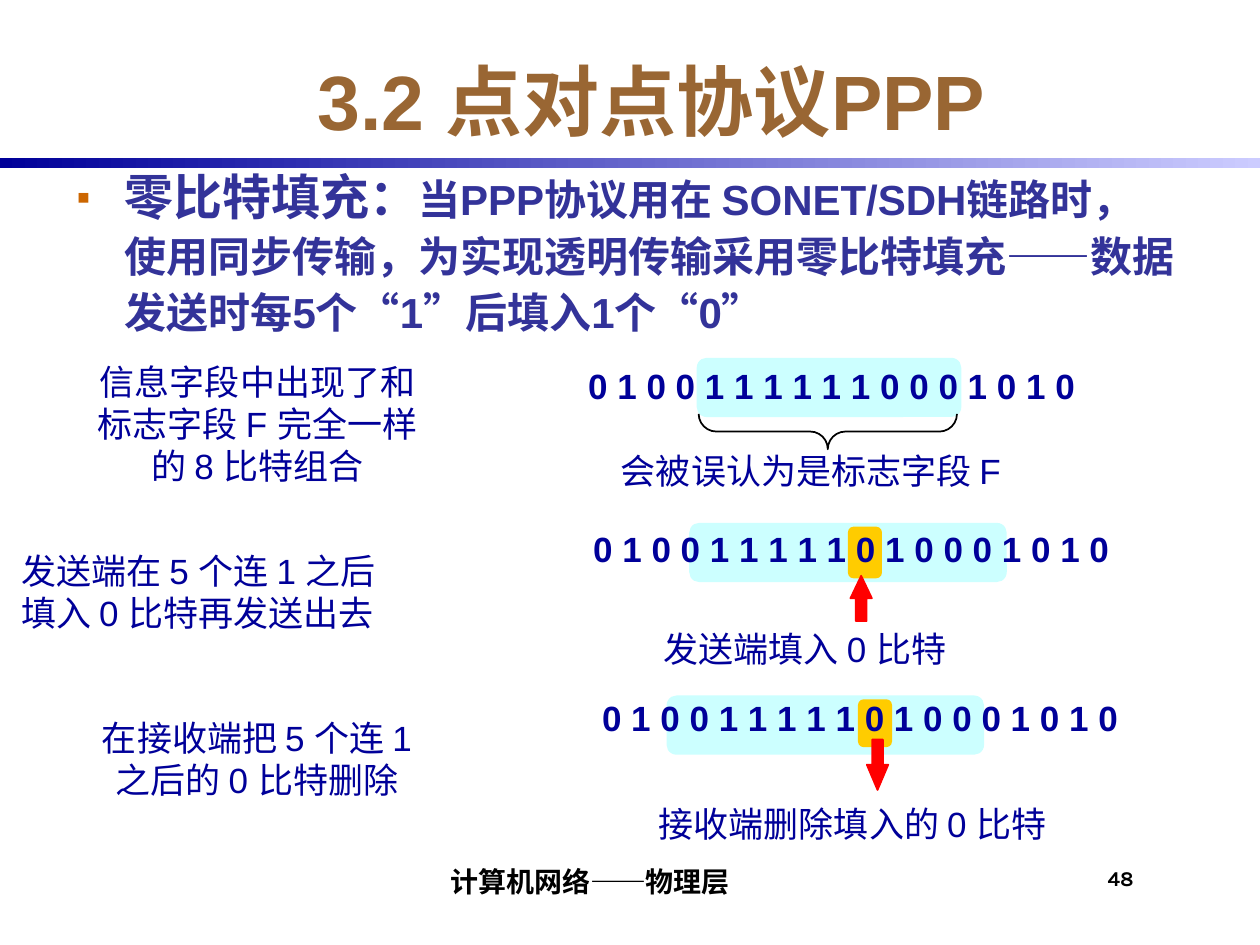
from typing import NamedTuple

from lxml.etree import SubElement
from pptx import Presentation
from pptx.dml.color import RGBColor
from pptx.enum.shapes import MSO_SHAPE
from pptx.enum.text import MSO_ANCHOR, PP_ALIGN
from pptx.oxml.ns import qn
from pptx.util import Inches, Pt

HUES = {
    "navy": "000099", "lilac": "CCCCFF", "brown": "996633", "indigo": "333399",
    "rust": "CC6600", "cyan": "CCFFFF", "gold": "FFCC00", "red": "FF0000",
    "black": "000000",
}
LEFT, MID = PP_ALIGN.LEFT, PP_ALIGN.CENTER
PAD = (0.1, 0.05, 0.1, 0.05)


class Box(NamedTuple):
    x: float
    y: float
    w: float
    h: float


class Style(NamedTuple):
    size: float
    hue: str
    bold: bool = False
    face: str = "Arial"


class Label(NamedTuple):
    box: Box
    lines: tuple
    style: Style
    align: PP_ALIGN = LEFT
    wrap: bool = False
    anchor: MSO_ANCHOR = MSO_ANCHOR.TOP
    pad: tuple = PAD


class Mark(NamedTuple):
    box: Box
    kind: MSO_SHAPE
    fill: str | None
    line: str | None = None
    adj: tuple = ()
    turn: float = 0


def color(name: str) -> RGBColor:
    return RGBColor.from_string(HUES[name])


def add_run(para, text: str, style: Style) -> None:
    run = para.add_run()
    run.text = text
    font = run.font
    font.size, font.bold, font.name = Pt(style.size), style.bold, style.face
    font.color.rgb = color(style.hue)


def add_label(slide, label: Label):
    """Add a text box with one paragraph per line and return its frame."""
    frame = slide.shapes.add_textbox(*map(Inches, label.box)).text_frame
    frame.word_wrap = label.wrap
    frame.vertical_anchor = label.anchor
    (frame.margin_left, frame.margin_top,
     frame.margin_right, frame.margin_bottom) = map(Inches, label.pad)
    for i, line in enumerate(label.lines):
        para = frame.add_paragraph() if i else frame.paragraphs[0]
        para.alignment = label.align
        add_run(para, line, label.style)
    return frame


def add_mark(slide, mark: Mark):
    shape = slide.shapes.add_shape(mark.kind, *map(Inches, mark.box))
    shape.shadow.inherit = False
    shape.rotation = mark.turn
    for i, value in enumerate(mark.adj):
        shape.adjustments[i] = value
    if mark.fill:
        shape.fill.solid()
        shape.fill.fore_color.rgb = color(mark.fill)
    else:
        shape.fill.background()
    if mark.line:
        shape.line.color.rgb = color(mark.line)
        shape.line.width = Pt(1)
    else:
        shape.line.fill.background()
    return shape


def add_bar(slide) -> None:
    bar = add_mark(slide, Mark(Box(0, 1.25, 10, 0.08), MSO_SHAPE.RECTANGLE, None))
    bar.fill.gradient()
    bar.fill.gradient_angle = 0
    for stop, name in zip(bar.fill.gradient_stops, ("navy", "lilac")):
        stop.color.rgb = color(name)


def add_bullet(para) -> None:
    props = para._p.get_or_add_pPr()
    props.set("marL", str(Inches(0.38)))
    props.set("indent", str(-Inches(0.38)))
    hue = SubElement(props, qn("a:buClr"))
    SubElement(hue, qn("a:srgbClr"), val=HUES["rust"])
    SubElement(props, qn("a:buSzPct"), val="80000")
    SubElement(props, qn("a:buFont"), typeface="Arial")
    SubElement(props, qn("a:buChar"), char="▪")


def add_body(slide) -> None:
    lead, main = Style(28, "indigo", True), Style(24, "indigo", True)
    frame = add_label(slide, Label(Box(0.51, 1.23, 8.92, 5), (), lead, wrap=True))
    para = frame.paragraphs[0]
    add_bullet(para)
    para.line_spacing = 1.1
    add_run(para, "零比特填充：", lead)
    add_run(para, "当PPP协议用在 SONET/SDH链路时，使用同步传输，为实现透明传输"
                  "采用零比特填充——数据发送时每5个“1”后填入1个“0”", main)


def band(x: float, y: float, w: float, h: float = 0.47, hue: str = "cyan") -> Mark:
    return Mark(Box(x, y, w, h), MSO_SHAPE.ROUNDED_RECTANGLE, hue, adj=(0.167,))


NOTE, BITS = Style(20, "navy"), Style(20, "navy", True)
SENT = " ".join("010011111010001010")
RAW = " ".join("01001111110001010")

TITLE = Label(Box(0.92, 0.33, 8.5, 0.92), ("3.2 点对点协议PPP",),
              Style(44, "brown", True), MID, True, MSO_ANCHOR.MIDDLE)
MARKS = (
    band(5.53, 2.84, 2.1),
    band(5.47, 4.15, 2.52),
    band(6.73, 4.18, 0.27, 0.41, "gold"),
    band(5.29, 5.52, 2.52),
    band(6.81, 5.55, 0.27, 0.38, "gold"),
    Mark(Box(6.43, 2.4, 0.28, 2.05), MSO_SHAPE.RIGHT_BRACE, None, "black",
         (0.5, 0.5), 90),
    Mark(Box(6.75, 4.57, 0.17, 0.36), MSO_SHAPE.UP_ARROW, "red", "red", (0.5, 1.05)),
    Mark(Box(6.88, 5.87, 0.17, 0.4), MSO_SHAPE.DOWN_ARROW, "red", "red", (0.5, 1.18)),
)
LABELS = (
    Label(Box(4.57, 2.84, 4.07, 0.43), (RAW,), BITS),
    Label(Box(4.61, 4.14, 4.3, 0.43), (SENT,), BITS),
    Label(Box(4.68, 5.48, 4.3, 0.43), (SENT,), BITS),
    Label(Box(0.61, 2.81, 2.87, 1.1),
          ("信息字段中出现了和", "标志字段 F 完全一样", "的 8 比特组合"), NOTE, MID),
    Label(Box(0.07, 4.31, 3.28, 0.76),
          ("发送端在 5 个连 1 之后", "填入 0 比特再发送出去"), NOTE),
    Label(Box(0.61, 5.64, 2.86, 0.76),
          ("在接收端把 5 个连 1", "之后的 0 比特删除"), NOTE, MID),
    Label(Box(4.83, 3.52, 3.4, 0.43), ("会被误认为是标志字段 F",), NOTE),
    Label(Box(5.17, 4.93, 2.8, 0.43), ("发送端填入 0 比特",), NOTE),
    Label(Box(5.13, 6.32, 3.5, 0.43), ("接收端删除填入的 0 比特",), NOTE),
    Label(Box(2.08, 6.75, 5.17, 0.42), ("计算机网络——物理层",),
          Style(16, "black", True, "Karla"), MID, True, MSO_ANCHOR.BOTTOM,
          (0.04, 0, 0, 0.04)),
    Label(Box(8.75, 6.83, 0.58, 0.42), ("48",), Style(12, "black", True, "Karla"),
          wrap=True, pad=(0.04, 0.04, 0, 0)),
)


def main() -> None:
    deck = Presentation()
    deck.slide_width, deck.slide_height = Inches(10), Inches(7.5)
    slide = deck.slides.add_slide(deck.slide_layouts[6])
    add_bar(slide)
    add_label(slide, TITLE)
    add_body(slide)
    for mark in MARKS:
        add_mark(slide, mark)
    for label in LABELS:
        add_label(slide, label)
    deck.save("out.pptx")


if __name__ == "__main__":
    main()
